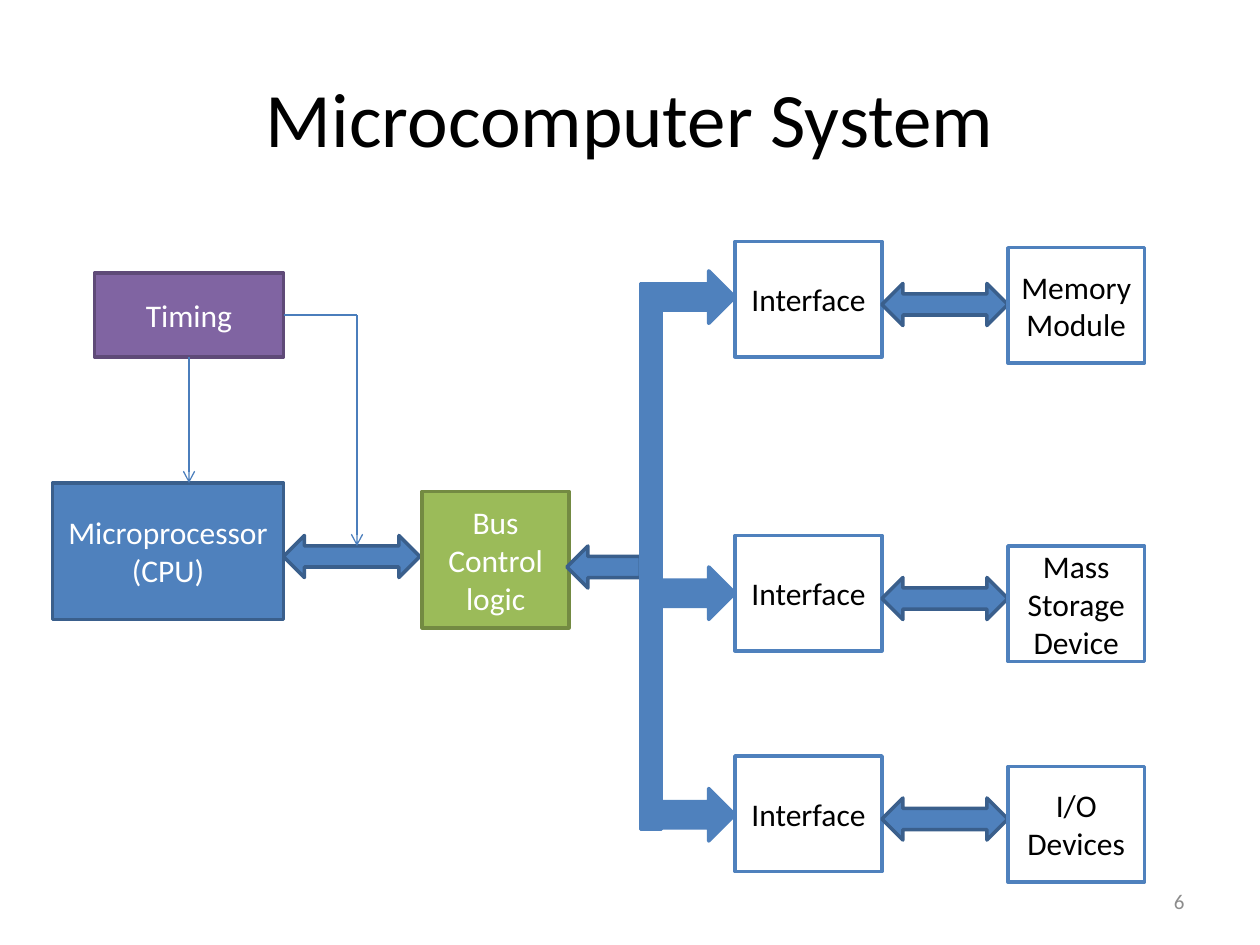
import lxml.etree
import pptx
import pptx.util
import pptx.dml.color
import pptx.enum.shapes
import pptx.enum.text
import pptx.oxml.ns

SHAPE = pptx.enum.shapes.MSO_SHAPE
ALIGN = pptx.enum.text.PP_ALIGN
MIDDLE = pptx.enum.text.MSO_ANCHOR.MIDDLE
COLS, ROWS = 120, 90
BLUE, BLUE_EDGE = "4F81BD", "3A5F8C"
WHITE, BLACK = "FFFFFF", "000000"

prs = pptx.Presentation()
prs.slide_width = pptx.util.Inches(10)
prs.slide_height = pptx.util.Inches(7.5)


def rgb(value):
    return pptx.dml.color.RGBColor.from_string(value)


def grid(col, row):
    return round(col * prs.slide_width / COLS), round(row * prs.slide_height / ROWS)


def place(sp, box):
    sp.left, sp.top = grid(*box[:2])
    sp.width, sp.height = grid(*box[2:])


def write(sp, text, size, color, align=ALIGN.CENTER):
    tf = sp.text_frame
    tf.word_wrap = True
    tf.vertical_anchor = MIDDLE
    tf.text = text
    for p in tf.paragraphs:
        p.alignment = align
        p.font.name = "Calibri"
        p.font.size = pptx.util.Pt(size)
        p.font.color.rgb = rgb(color)


def block(slide, kind, box, fill=BLUE, edge=BLUE_EDGE, text="", color=WHITE):
    sp = slide.shapes.add_shape(kind, *grid(*box[:2]), *grid(*box[2:]))
    sp.shadow.inherit = False
    sp.fill.solid()
    sp.fill.fore_color.rgb = rgb(fill)
    sp.line.color.rgb = rgb(edge)
    sp.line.width = pptx.util.Pt(2)
    if text:
        write(sp, text, 18, color)
    return sp


def wire(slide, start, end, arrow=False):
    straight = pptx.enum.shapes.MSO_CONNECTOR.STRAIGHT
    c = slide.shapes.add_connector(straight, *grid(*start), *grid(*end))
    c.line.color.rgb = rgb("4B7EBC")
    c.line.width = pptx.util.Pt(0.75)
    qn = pptx.oxml.ns.qn
    sp_pr = c.element.spPr
    if arrow:
        lxml.etree.SubElement(sp_pr.find(qn("a:ln")), qn("a:tailEnd"), type="arrow")
    lxml.etree.SubElement(sp_pr, qn("a:effectLst"))
    return c


def header(slide, box):
    title = slide.shapes.title
    place(title, box)
    write(title, "Microcomputer System", 44, BLACK)


def page_number(slide, box, number):
    sp = slide.shapes.add_textbox(0, 0, 0, 0)
    place(sp, box)
    write(sp, number, 12, "8C8C8C", ALIGN.RIGHT)


def processor(slide, x, y):
    block(slide, SHAPE.RECTANGLE, (x, y + 20, 22, 13), text="Microprocessor\n(CPU)")
    timing = block(slide, SHAPE.RECTANGLE, (x + 4, y, 18, 8), "8064A2", "5F4A78", "Timing")
    block(slide, SHAPE.LEFT_RIGHT_ARROW, (x + 22, y + 25, 13, 4))
    block(slide, SHAPE.RECTANGLE, (x + 35.2, y + 20.8, 14, 13),
          "9BBB59", "738A42", "Bus Control logic")
    block(slide, SHAPE.LEFT_ARROW, (x + 49, y + 26, 7, 4))
    corner = (x + 29, y + 4)
    wire(slide, (x + 13, y + 8), (x + 13, y + 20), arrow=True).begin_connect(timing, 2)
    wire(slide, (x + 22, y + 4), corner).begin_connect(timing, 3)
    wire(slide, corner, (corner[0], y + 26), arrow=True)


def peripheral(slide, x, y, device, device_y, feed_y):
    block(slide, SHAPE.RIGHT_ARROW, (x, feed_y, 8, 5), edge=BLUE)
    block(slide, SHAPE.RECTANGLE, (x + 8, y, 14, 11), WHITE, BLUE, "Interface", BLACK)
    block(slide, SHAPE.LEFT_RIGHT_ARROW, (x + 22, y + 4, 12, 4))
    block(slide, SHAPE.RECTANGLE, (x + 34, device_y, 13, 11), WHITE, BLUE, device, BLACK)


def system_bus(slide, x, y, height):
    for row, device, device_row, feed_row in (
        (23, "Memory Module", 23.6, 25.8),
        (51, "Mass Storage Device", 52, 54),
        (72, "I/O Devices", 73, 75.1),
    ):
        peripheral(slide, x + 1, row, device, device_row, feed_row)
    block(slide, SHAPE.RECTANGLE, (x, y, 2, height), edge=BLUE)


def main():
    slide = prs.slides.add_slide(prs.slide_layouts[5])
    header(slide, (6, 3.6, 108, 15))
    page_number(slide, (86, 83.4, 28, 4.8), "6")
    processor(slide, 5, 26)
    system_bus(slide, 61, 27, 52)
    prs.save("out.pptx")


if __name__ == "__main__":
    main()
